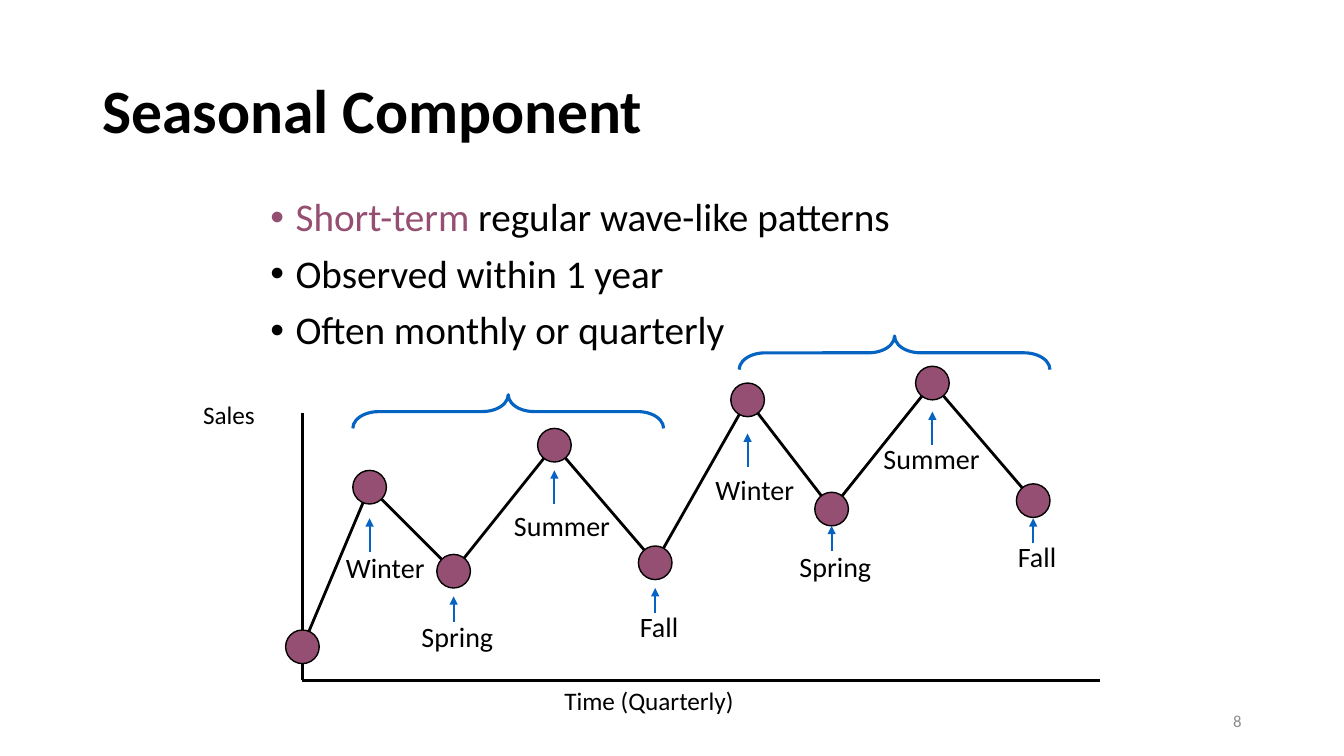
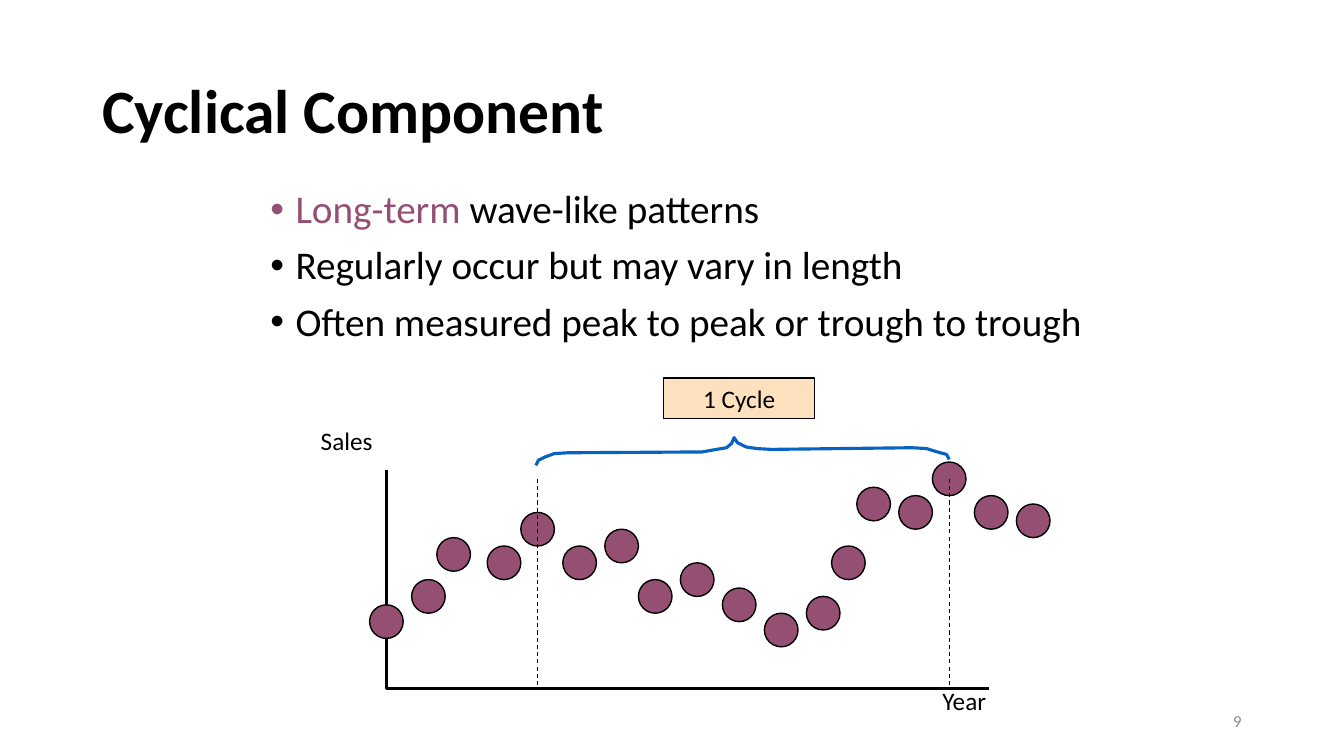
from dataclasses import dataclass
from itertools import pairwise

from lxml.etree import SubElement
from pptx import Presentation
from pptx.dml.color import RGBColor
from pptx.enum.dml import MSO_LINE
from pptx.enum.shapes import MSO_CONNECTOR as Conn, MSO_SHAPE as Shape
from pptx.enum.text import MSO_ANCHOR as Anchor, PP_ALIGN as Align
from pptx.oxml.ns import qn
from pptx.util import Emu, Pt

COLUMNS, ROWS = 160, 90
CELL = 76200
INDENT = 3
DOT = 4
FONT = "Calibri"
COLORS = {
    "ink": "000000",
    "plum": "954F72",
    "blue": "0563C1",
    "peach": "FDE0BD",
    "gray": "8C8C8C",
}


@dataclass(frozen=True)
class Box:
    col: float
    row: float
    cols: float
    rows: float


@dataclass(frozen=True)
class Point:
    col: float
    row: float


@dataclass(frozen=True)
class Run:
    text: str
    color: str = "ink"


@dataclass(frozen=True)
class Label:
    text: str
    box: Box


@dataclass(frozen=True)
class Season:
    name: str
    peak: Point
    arrow_tip: float
    arrow_rows: float
    label_col: float
    label_row: float


TITLE = Box(11, 4.8, 138, 17.4)
PAGE_NUMBER = Box(113, 83.4, 36, 4.8)
LABEL_COLS = {"Winter": 12, "Spring": 11, "Summer": 14, "Fall": 7}

START = Point(36, 77)
SEASONS = [
    Season("Winter", Point(44, 58), 61.7, 4, 40, 65),
    Season("Spring", Point(54, 68), 71, 3, 49, 73.2),
    Season("Summer", Point(66, 53), 56, 4, 60, 60),
    Season("Fall", Point(78, 67), 70, 3, 75, 72),
    Season("Winter", Point(89, 47.6), 51.6, 4, 84, 55.7),
    Season("Spring", Point(99, 60.6), 62.6, 3, 94, 64.8),
    Season("Summer", Point(111, 45.6), 49, 4, 104, 52),
    Season("Fall", Point(123, 59.6), 61.7, 3, 120, 63.6),
]
YEAR_BRACES = [Point(60.5, 49), Point(106.5, 42)]

SALES = [Point(*xy) for xy in (
    (46, 74), (51, 71), (54, 66), (60, 67), (64, 63), (69, 67),
    (74, 65), (78, 71), (83, 69), (88, 72), (93, 75), (98, 73),
    (101, 67), (104, 60), (109, 61), (113, 57), (118, 61), (123, 62),
)]
PEAK_COLS = (64, 113)
CYCLE_BRACE = [Point(*xy) for xy in (
    (113, 54.7), (112.7, 54.1), (111.6, 53.8), (110.3, 53.4),
    (108.6, 53.3), (91.8, 53.5), (90.1, 53.4), (88.8, 53.2),
    (87.8, 52.7), (87.4, 52.1), (87.1, 52.8), (86.5, 53.3),
    (85.3, 53.5), (83.6, 53.8), (67.6, 53.9), (66, 54),
    (64.9, 54.4), (64.1, 54.8), (63.8, 55.4),
)]


def grid(n: float) -> Emu:
    return Emu(round(n * CELL))


def place(box: Box) -> tuple:
    return tuple(map(grid, (box.col, box.row, box.cols, box.rows)))


def rgb(name: str) -> RGBColor:
    return RGBColor.from_string(COLORS[name])


def add_run(p, run: Run, size: float, bold: bool = False) -> None:
    r = p.add_run()
    r.text = run.text
    r.font.name, r.font.size, r.font.bold = FONT, Pt(size), bold
    r.font.color.rgb = rgb(run.color)


def add_text(s, box: Box, run: Run, size: float, bold: bool = False,
             align=Align.LEFT, anchor=Anchor.TOP, wrap: bool = True):
    tf = s.shapes.add_textbox(*place(box)).text_frame
    tf.word_wrap, tf.vertical_anchor = wrap, anchor
    p = tf.paragraphs[0]
    p.alignment = align
    add_run(p, run, size, bold)
    return p


def add_bullets(s, box: Box, items: list[list[Run]]) -> None:
    tf = s.shapes.add_textbox(*place(box)).text_frame
    tf.word_wrap = True
    for i, runs in enumerate(items):
        p = tf.add_paragraph() if i else tf.paragraphs[0]
        p.line_spacing, p.space_before = 0.9, Pt(10)
        pPr = p._p.get_or_add_pPr()
        pPr.set("marL", str(grid(INDENT)))
        pPr.set("indent", str(-grid(INDENT)))
        SubElement(pPr, qn("a:buFont")).set("typeface", "Arial")
        SubElement(pPr, qn("a:buChar")).set("char", "•")
        for run in runs:
            add_run(p, run, 28)


def add_line(s, start: Point, end: Point, color: str = "ink", width: float = 2,
             dashed: bool = False, arrow: bool = False) -> None:
    c = s.shapes.add_connector(
        Conn.STRAIGHT, *map(grid, (start.col, start.row, end.col, end.row)))
    c.line.color.rgb, c.line.width = rgb(color), Pt(width)
    if dashed:
        c.line.dash_style = MSO_LINE.DASH
    if arrow:
        SubElement(c.line._get_or_add_ln(), qn("a:tailEnd")).set("type", "triangle")
    SubElement(c._element.spPr, qn("a:effectLst"))


def add_path(s, points: list[Point]) -> None:
    for start, end in pairwise(points):
        add_line(s, start, end)


def style(sp, fill: str | None, line: str, width: float):
    sp.shadow.inherit = False
    if fill:
        sp.fill.solid()
        sp.fill.fore_color.rgb = rgb(fill)
    else:
        sp.fill.background()
    sp.line.color.rgb, sp.line.width = rgb(line), Pt(width)
    return sp


def add_dots(s, points: list[Point]) -> None:
    for pt in points:
        box = Box(pt.col - DOT / 2, pt.row - DOT / 2, DOT, DOT)
        style(s.shapes.add_shape(Shape.OVAL, *place(box)), "plum", "ink", 1)


def add_year_brace(s, center: Point) -> None:
    depth, span = 4, 37
    box = Box(center.col - depth / 2, center.row - span / 2, depth, span)
    sp = style(s.shapes.add_shape(Shape.LEFT_BRACE, *place(box)), None, "blue", 2.25)
    sp.rotation = 90
    sp.adjustments[0] = 0.77


def add_cycle_brace(s) -> None:
    first, *rest = [(grid(pt.col), grid(pt.row)) for pt in CYCLE_BRACE]
    builder = s.shapes.build_freeform(*first)
    builder.add_line_segments(rest, close=False)
    style(builder.convert_to_shape(), None, "blue", 2.25)


def add_cycle_tag(s) -> None:
    sp = s.shapes.add_shape(Shape.RECTANGLE, *place(Box(79, 45, 18, 4.85)))
    tf = style(sp, "peach", "ink", 0.75).text_frame
    tf.vertical_anchor = Anchor.TOP
    p = tf.paragraphs[0]
    p.alignment = Align.CENTER
    add_run(p, Run("1 Cycle"), 18)


def add_season(s, season: Season) -> None:
    col, tip = season.peak.col, season.arrow_tip
    add_line(s, Point(col, tip + season.arrow_rows), Point(col, tip),
             "blue", 1.5, arrow=True)
    box = Box(season.label_col, season.label_row, LABEL_COLS[season.name], 5.2)
    add_text(s, box, Run(season.name), 20, wrap=False)


def add_base(prs, number: int, title: str, body: Box, items: list[list[Run]],
             axes: list[Point], labels: list[Label]):
    s = prs.slides.add_slide(prs.slide_layouts[6])
    add_text(s, TITLE, Run(title), 44, True, anchor=Anchor.MIDDLE).line_spacing = 0.9
    add_bullets(s, body, items)
    add_path(s, axes)
    for label in labels:
        add_text(s, label.box, Run(label.text), 18)
    add_text(s, PAGE_NUMBER, Run(str(number), "gray"), 12,
             align=Align.RIGHT, anchor=Anchor.MIDDLE)
    return s


def add_seasonal(prs) -> None:
    s = add_base(
        prs, 8, "Seasonal Component", Box(31, 23, 106, 20.9),
        [[Run("Short-term", "plum"), Run(" regular wave-like patterns")],
         [Run("Observed within 1 year")],
         [Run("Often monthly or quarterly")]],
        [Point(36, 49.2), Point(36, 81), Point(131, 81)],
        [Label("Sales", Box(23, 47, 19, 4.8)),
         Label("Time (Quarterly)", Box(66, 81, 59, 4.8))])
    points = [START, *(season.peak for season in SEASONS)]
    add_path(s, points)
    add_dots(s, points)
    for season in SEASONS:
        add_season(s, season)
    for center in YEAR_BRACES:
        add_year_brace(s, center)


def add_cyclical(prs) -> None:
    s = add_base(
        prs, 9, "Cyclical Component", Box(31, 22, 106, 29.8),
        [[Run("Long-term", "plum"), Run(" wave-like patterns")],
         [Run("Regularly occur but may vary in length")],
         [Run("Often measured peak to peak or trough to trough")]],
        [Point(46, 56), Point(46, 82), Point(117.8, 82)],
        [Label("Sales", Box(37, 50, 14, 4.8)),
         Label("Year", Box(111, 81, 14, 4.8))])
    add_dots(s, SALES)
    add_cycle_brace(s)
    add_cycle_tag(s)
    for col in PEAK_COLS:
        add_line(s, Point(col, 57), Point(col, 82), width=0.75, dashed=True)


def main() -> None:
    prs = Presentation()
    prs.slide_width, prs.slide_height = grid(COLUMNS), grid(ROWS)
    add_seasonal(prs)
    add_cyclical(prs)
    prs.save("out.pptx")


if __name__ == "__main__":
    main()
